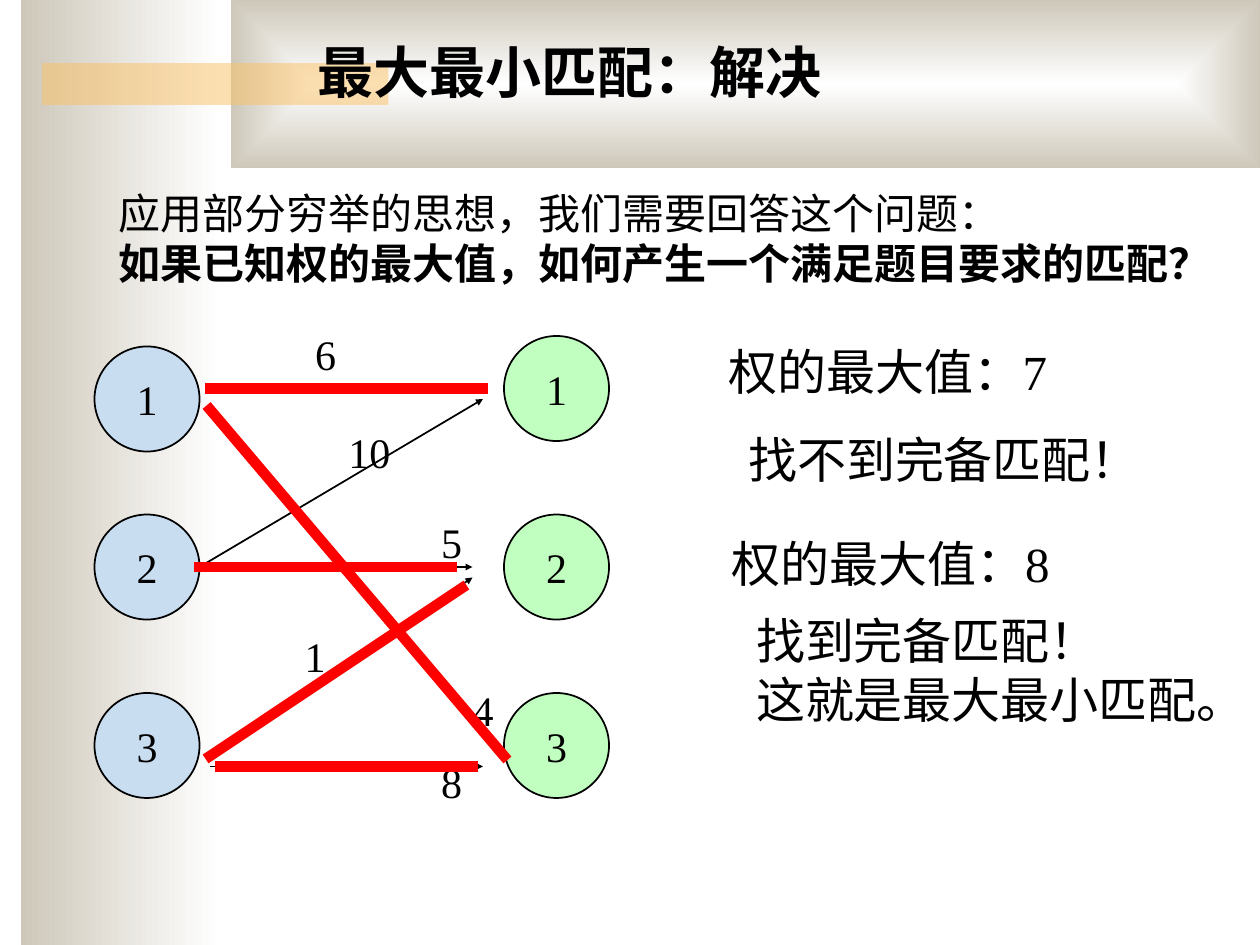
from dataclasses import dataclass

from lxml import etree
from pptx import Presentation
from pptx import util as u
from pptx.dml.color import RGBColor
from pptx.enum import shapes, text
from pptx.oxml import ns


@dataclass(frozen=True)
class Theme:
    font: str = "Times New Roman"
    chinese_font: str = "Noto Sans CJK SC"
    ink: str = "000000"
    paper: str = "FFFFFF"
    sand: str = "CEC8BA"
    accent: str = "FAC164"
    left_node: str = "C9DDF1"
    right_node: str = "C1FFC1"
    matched: str = "FF0000"
    title_size: int = 32
    result_size: int = 28
    body_size: int = 24
    leading: float = 1.2
    thin: int = 1
    thick: int = 6


class MatchingSlide:
    def __init__(self, slide, theme):
        self.slide = slide
        self.theme = theme

    def format_paragraph(self, paragraph, size, bold=False):
        paragraph.line_spacing = u.Pt(size * self.theme.leading)
        for run in paragraph.runs:
            run.font.name = self.theme.font
            run.font.size = u.Pt(size)
            run.font.bold = bold
            run.font.color.rgb = RGBColor.from_string(self.theme.ink)
            latin = run.font._element.find(ns.qn("a:latin"))
            latin.addnext(etree.Element(ns.qn("a:ea"), typeface=self.theme.chinese_font))

    def title(self, wording, left, top, width, height):
        title = self.slide.shapes.title
        title.left, title.top = u.Pt(left), u.Pt(top)
        title.width, title.height = u.Pt(width), u.Pt(height)
        frame = title.text_frame
        frame.text = wording
        frame.word_wrap = True
        frame.auto_size = text.MSO_AUTO_SIZE.SHAPE_TO_FIT_TEXT
        frame.vertical_anchor = text.MSO_ANCHOR.TOP
        frame.paragraphs[0].alignment = text.PP_ALIGN.LEFT
        self.format_paragraph(frame.paragraphs[0], self.theme.title_size, bold=True)
        # The title stands in front of the bands
        self.slide.shapes._spTree.append(title._element)

    def shape(self, kind, left, top, width, height):
        shape = self.slide.shapes.add_shape(
            kind, u.Pt(left), u.Pt(top), u.Pt(width), u.Pt(height))
        shape.shadow.inherit = False
        return shape

    def band(self, left, top, width, height):
        band = self.shape(shapes.MSO_SHAPE.RECTANGLE, left, top, width, height)
        band.line.fill.background()
        return band

    def gradient_band(self, left, top, width, height, colors, from_center=False):
        fill = self.band(left, top, width, height).fill
        fill.gradient()
        for stop, position, color in zip(fill.gradient_stops, (0, 1), colors):
            stop.position = position
            stop.color.rgb = RGBColor.from_string(color)
        fill.gradient_angle = 0
        if from_center:
            gradient = fill._xPr.find(ns.qn("a:gradFill"))
            gradient.remove(gradient.find(ns.qn("a:lin")))
            center = etree.SubElement(gradient, ns.qn("a:path"), path="rect")
            etree.SubElement(center, ns.qn("a:fillToRect"),
                             l="50000", t="50000", r="50000", b="50000")

    def translucent_band(self, left, top, width, height, color, opacity):
        fill = self.band(left, top, width, height).fill
        fill.solid()
        fill.fore_color.rgb = RGBColor.from_string(color)
        solid = fill._xPr.find(ns.qn("a:solidFill"))
        etree.SubElement(solid[0], ns.qn("a:alpha"), val=str(opacity * 1000))

    def node(self, label, left, top, diameter, color):
        node = self.shape(shapes.MSO_SHAPE.OVAL, left, top, diameter, diameter)
        node.fill.solid()
        node.fill.fore_color.rgb = RGBColor.from_string(color)
        node.line.color.rgb = RGBColor.from_string(self.theme.ink)
        node.line.width = u.Pt(self.theme.thin)
        frame = node.text_frame
        frame.text = label
        frame.word_wrap = False
        frame.vertical_anchor = text.MSO_ANCHOR.MIDDLE
        frame.paragraphs[0].alignment = text.PP_ALIGN.CENTER
        self.format_paragraph(frame.paragraphs[0], self.theme.body_size)

    def edge(self, start, end, color, weight, arrow=False):
        edge = self.slide.shapes.add_connector(
            shapes.MSO_CONNECTOR.STRAIGHT, *map(u.Pt, start + end))
        edge.line.color.rgb = RGBColor.from_string(color)
        edge.line.width = u.Pt(weight)
        stroke = edge.line._get_or_add_ln()
        if arrow:
            etree.SubElement(stroke, ns.qn("a:tailEnd"), type="triangle", w="sm", len="sm")
        else:
            stroke.set("cap", "sq")
        etree.SubElement(edge._element.spPr, ns.qn("a:effectLst"))

    def words(self, lines, left, top, width, height, size, bold_last=False):
        box = self.slide.shapes.add_textbox(
            u.Pt(left), u.Pt(top), u.Pt(width), u.Pt(height))
        frame = box.text_frame
        frame.text = "\n".join(lines)
        frame.word_wrap = False
        frame.auto_size = text.MSO_AUTO_SIZE.SHAPE_TO_FIT_TEXT
        for number, paragraph in enumerate(frame.paragraphs, start=1):
            self.format_paragraph(paragraph, size, bold_last and number == len(lines))


def main():
    theme = Theme()
    deck = Presentation()
    deck.slide_width, deck.slide_height = u.Pt(720), u.Pt(540)
    page = MatchingSlide(deck.slides.add_slide(deck.slide_layouts[5]), theme)

    # Background bands and title
    page.gradient_band(12, 0, 114, 540, (theme.sand, theme.paper))
    page.gradient_band(132, 0, 588, 96, (theme.paper, theme.sand), from_center=True)
    page.translucent_band(24, 36, 198, 24, theme.accent, 50)
    page.title("最大最小匹配：解决", 174, 18, 432, 46)

    # Question
    page.words(["应用部分穷举的思想，我们需要回答这个问题：",
                "如果已知权的最大值，如何产生一个满足题目要求的匹配？"],
               60.5, 103.5, 646, 65, theme.body_size, bold_last=True)

    # Two sides of the graph
    sides = [(54, (198, 294, 396), theme.left_node),
             (288, (192, 294, 396), theme.right_node)]
    for left, tops, color in sides:
        for number, top in enumerate(tops, start=1):
            page.node(str(number), left, top, 60, color)

    # Weighted edges
    edges = [((120, 222), (276, 222)), ((120, 234), (288, 432)),
             ((114, 324), (276, 228)), ((114, 324), (270, 324)),
             ((120, 432), (270, 330)), ((120, 438), (276, 438))]
    for start, end in edges:
        page.edge(start, end, theme.ink, theme.thin, arrow=True)

    weights = [("6", 173, 184), ("4", 263, 387.5), ("8", 245, 429),
               ("10", 192, 240), ("1", 167, 357), ("5", 245, 291.5)]
    for weight, left, top in weights:
        page.words([weight], left, top, 16 + 12 * len(weight), 36, theme.body_size)

    # Results for each maximum weight
    page.words(["权的最大值：7"], 409.5, 191.5, 210, 41, theme.result_size)
    page.words(["找不到完备匹配！"], 420.5, 242, 242, 41, theme.result_size)
    page.words(["权的最大值：8"], 411, 301.5, 210, 41, theme.result_size)

    # Edges allowed by the maximum weight
    allowed = [((114, 324), (258, 324)), ((120, 234), (288, 432)),
               ((120, 432), (264, 336)), ((120, 222), (276, 222)),
               ((126, 438), (270, 438))]
    for start, end in allowed:
        page.edge(start, end, theme.matched, theme.thick)

    page.words(["找到完备匹配！", "这就是最大最小匹配。"],
               425, 345.5, 295, 75, theme.result_size)

    deck.save("out.pptx")


if __name__ == "__main__":
    main()
